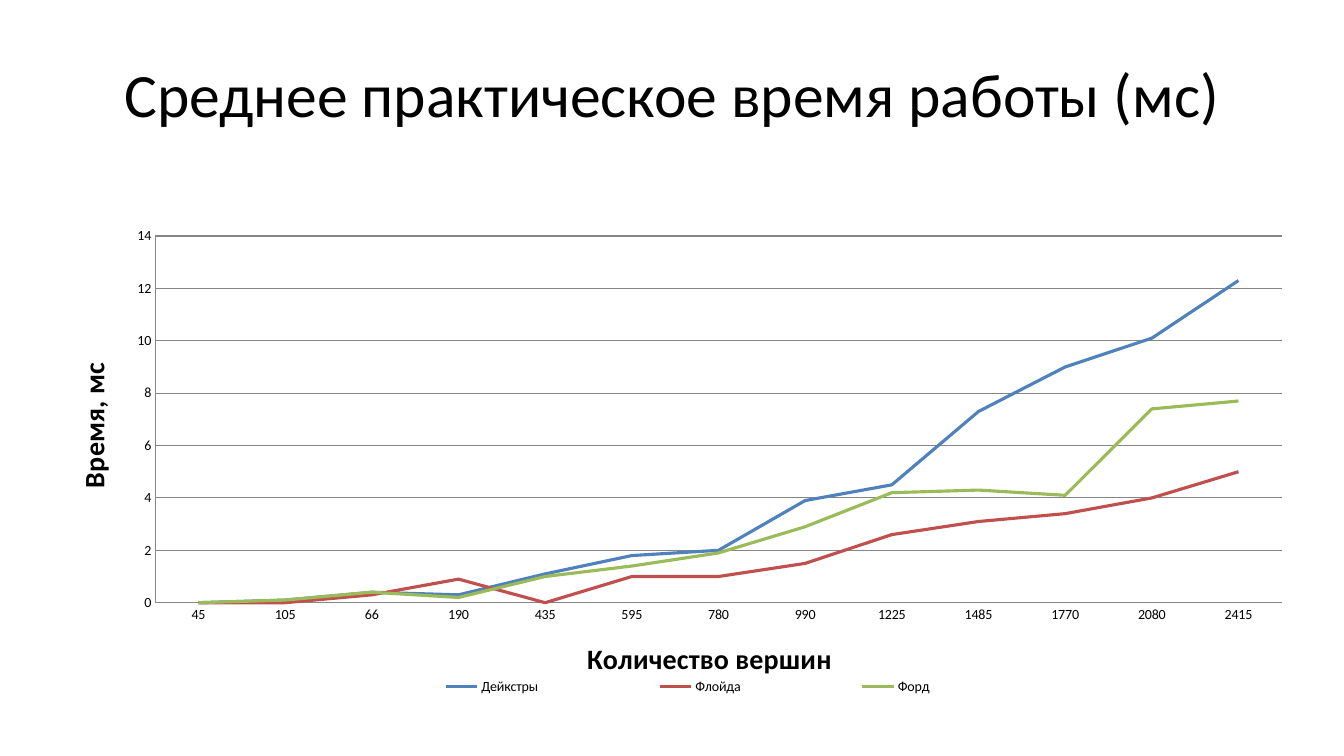
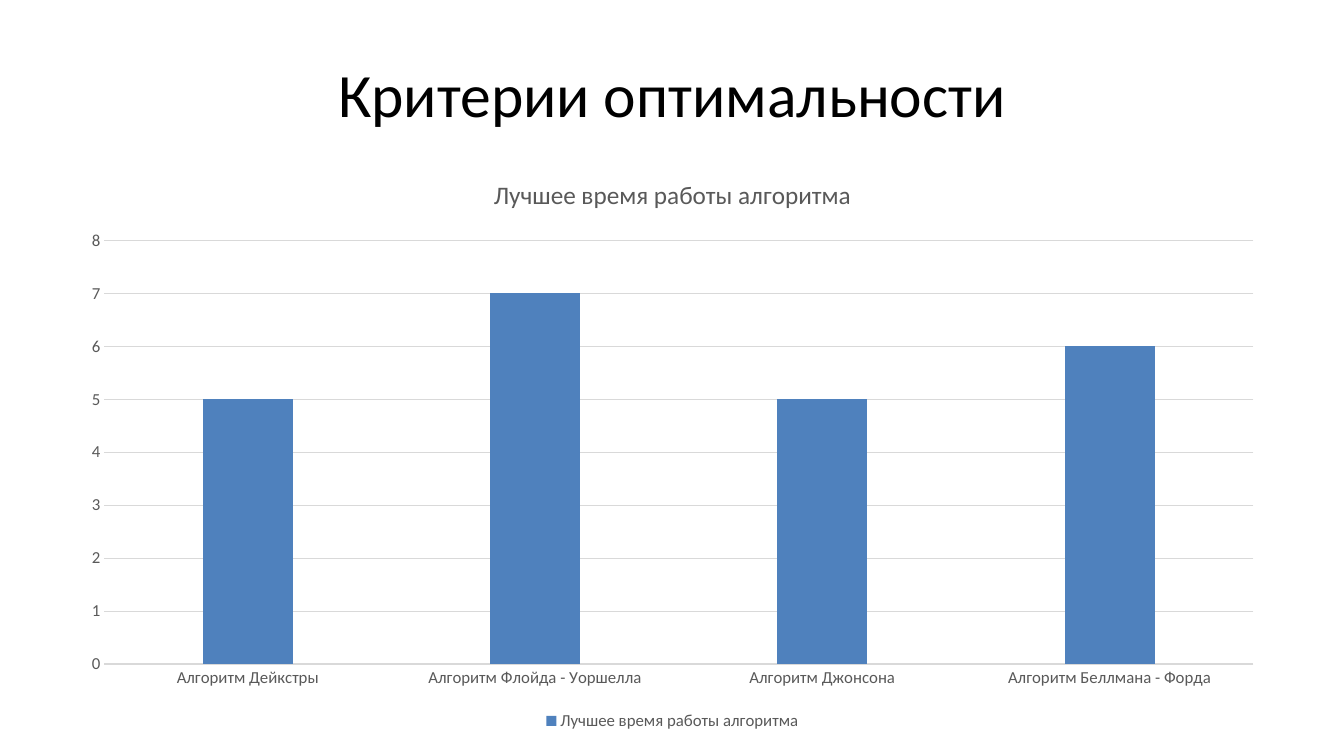
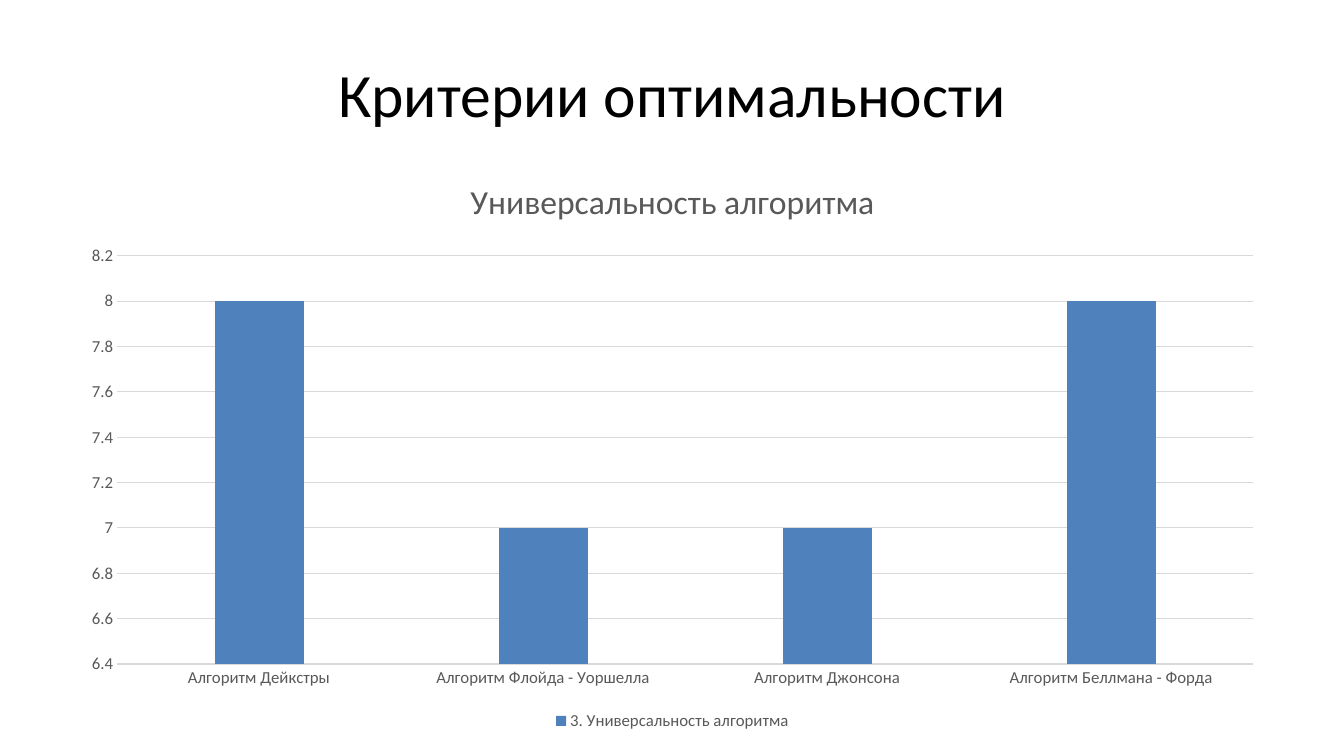
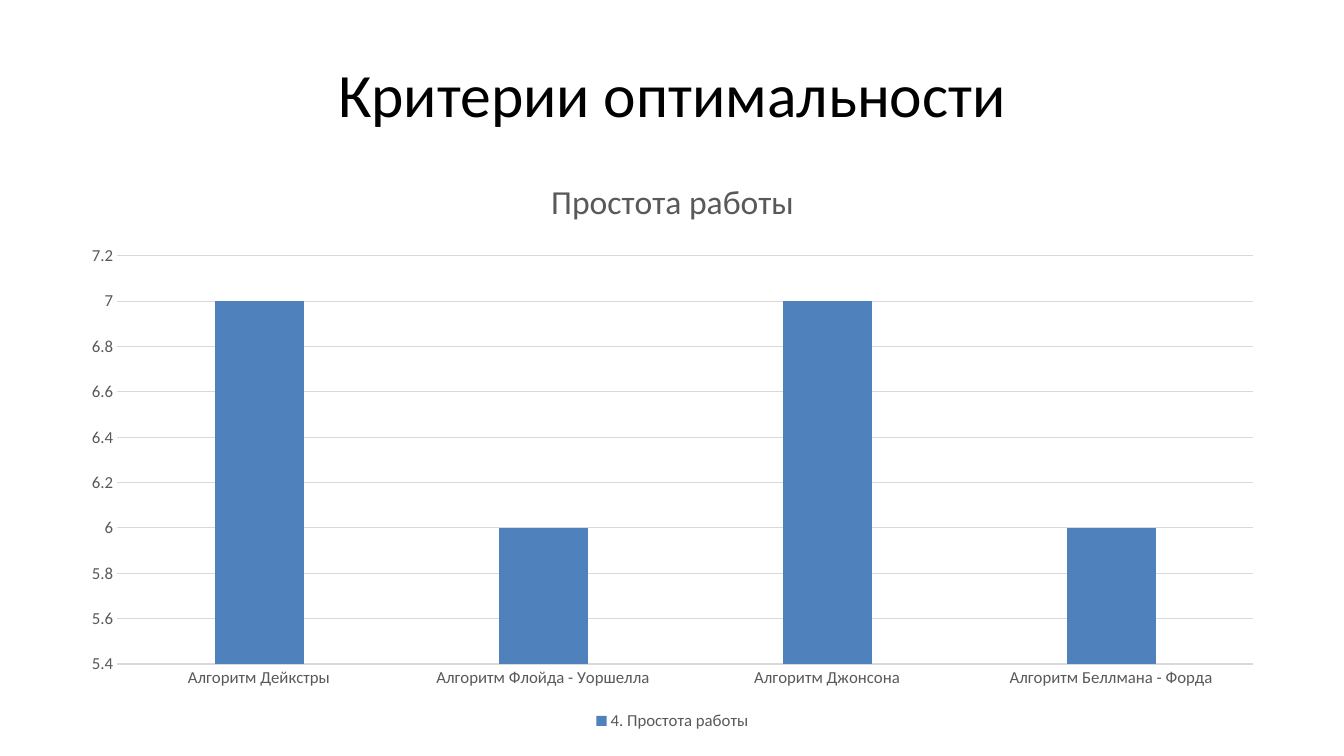
from dataclasses import dataclass
from typing import Any, Optional

from lxml import etree
from pptx import Presentation
from pptx.chart.chart import Chart
from pptx.chart.data import CategoryChartData
from pptx.dml.color import RGBColor
from pptx.enum.chart import XL_CHART_TYPE, XL_LEGEND_POSITION, XL_TICK_MARK
from pptx.enum.text import MSO_ANCHOR, PP_ALIGN
from pptx.oxml.ns import qn
from pptx.slide import Slide
from pptx.util import Inches, Pt

FONT = "Calibri"
BLACK, GRAY, LIGHT_GRAY, AXIS_GRAY = "000000", "595959", "D9D9D9", "868686"
BLUE, RED, GREEN = "4F81BD", "C0504D", "9BBB59"
TITLE_BOX = (0.67, 0.3, 12, 1.25)
ALGORITHMS = (
    "Алгоритм Дейкстры",
    "Алгоритм Флойда - Уоршелла",
    "Алгоритм Джонсона",
    "Алгоритм Беллмана - Форда",
)
VERTEX_COUNTS = (
    "45", "105", "66", "190", "435", "595", "780",
    "990", "1225", "1485", "1770", "2080", "2415",
)


@dataclass(frozen=True)
class Series:
    name: str
    values: tuple[float, ...]
    color: str


@dataclass(frozen=True)
class Scale:
    minimum: float
    maximum: float
    step: float


@dataclass(frozen=True)
class Criterion:
    chart_title: str
    title_size: int
    series_name: str
    scores: tuple[int, ...]
    scale: Scale


TIMES = (
    Series("Дейкстры", (0, 0.1, 0.4, 0.3, 1.1, 1.8, 2, 3.9, 4.5, 7.3, 9, 10.1, 12.3), BLUE),
    Series("Флойда", (0, 0, 0.3, 0.9, 0, 1, 1, 1.5, 2.6, 3.1, 3.4, 4, 5), RED),
    Series("Форд", (0, 0.1, 0.4, 0.2, 1, 1.4, 1.9, 2.9, 4.2, 4.3, 4.1, 7.4, 7.7), GREEN),
)
CRITERIA = (
    Criterion("Лучшее время работы алгоритма", 18, "Лучшее время работы алгоритма",
              (5, 7, 5, 6), Scale(0, 8, 1)),
    Criterion("Универсальность алгоритма", 24, "3. Универсальность алгоритма",
              (8, 7, 7, 8), Scale(6.4, 8.2, 0.2)),
    Criterion("Простота работы", 24, "4. Простота работы",
              (7, 6, 7, 6), Scale(5.4, 7.2, 0.2)),
)


def rgb(color: str) -> RGBColor:
    return RGBColor.from_string(color)


def set_values(target: Any, values: dict[str, Any]) -> None:
    for name, value in values.items():
        setattr(target, name, value)


def format_font(font: Any, size: float, color: str, bold: bool = False) -> None:
    set_values(font, {"name": FONT, "size": Pt(size), "bold": bold})
    font.color.rgb = rgb(color)


def format_line(line: Any, color: str, width: float) -> None:
    line.color.rgb = rgb(color)
    line.width = Pt(width)


def write_label(owner: Any, text: str, size: float, color: str, bold: bool = False) -> None:
    text_frame = owner.text_frame
    text_frame.text = text
    paragraph = text_frame.paragraphs[0]
    format_font(paragraph.font, size, color, bold)
    format_font(paragraph.runs[0].font, size, color, bold)


def set_layout(element: Any, box: tuple[float, ...], before: str, inner: bool = False) -> None:
    for old_layout in element.findall(qn("c:layout")):
        element.remove(old_layout)
    layout = etree.Element(qn("c:layout"))
    manual = etree.SubElement(layout, qn("c:manualLayout"))
    settings = {"layoutTarget": "inner"} if inner else {}
    settings.update({"xMode": "edge", "yMode": "edge"})
    settings.update(zip("xywh", map(str, box)))
    for name, value in settings.items():
        etree.SubElement(manual, qn(f"c:{name}")).set("val", value)
    element.find(qn(before)).addprevious(layout)


def add_titled_slide(presentation: Any, title: str) -> Slide:
    slide = presentation.slides.add_slide(presentation.slide_layouts[5])
    shape = slide.shapes.title
    set_values(shape, dict(zip(("left", "top", "width", "height"), map(Inches, TITLE_BOX))))
    shape.text_frame.text = title
    set_values(shape.text_frame, {"vertical_anchor": MSO_ANCHOR.MIDDLE, "word_wrap": True})
    paragraph = shape.text_frame.paragraphs[0]
    paragraph.alignment = PP_ALIGN.CENTER
    format_font(paragraph.runs[0].font, 44, BLACK)
    return slide


def add_chart(slide: Slide, kind: XL_CHART_TYPE, box: tuple[float, ...],
              categories: tuple[str, ...], series: tuple[Series, ...], scale: Scale,
              size: int, color: str, line_color: str) -> Chart:
    data = CategoryChartData()
    data.categories = categories
    for item in series:
        data.add_series(item.name, item.values)
    chart = slide.shapes.add_chart(kind, *map(Inches, box), data).chart
    set_values(chart, {"has_title": False, "has_legend": True})
    format_font(chart.font, 10, BLACK)
    set_values(chart.legend, {"position": XL_LEGEND_POSITION.BOTTOM, "include_in_layout": False})
    format_font(chart.legend.font, size, color)
    for axis in (chart.category_axis, chart.value_axis):
        set_values(axis, {"major_tick_mark": XL_TICK_MARK.NONE,
                          "minor_tick_mark": XL_TICK_MARK.NONE})
        format_font(axis.tick_labels.font, size, color)
        format_line(axis.format.line, line_color, 0.75)
    set_values(chart.value_axis, {
        "minimum_scale": scale.minimum,
        "maximum_scale": scale.maximum,
        "major_unit": scale.step,
        "has_major_gridlines": True,
    })
    format_line(chart.value_axis.major_gridlines.format.line, line_color, 0.75)
    chart.plots[0].vary_by_categories = False
    return chart


def add_times_slide(presentation: Any) -> None:
    slide = add_titled_slide(presentation, "Среднее практическое время работы (мс)")
    chart = add_chart(slide, XL_CHART_TYPE.LINE, (0.68, 1.7, 12.28, 5.35),
                      VERTEX_COUNTS, TIMES, Scale(0, 14, 2), 10, BLACK, AXIS_GRAY)
    for line, item in zip(chart.plots[0].series, TIMES):
        line.smooth = False
        format_line(line.format.line, item.color, 2.25)
    write_label(chart.category_axis.axis_title, "Количество вершин", 20, BLACK, True)
    write_label(chart.value_axis.axis_title, "Время, мс", 20, BLACK, True)
    plot_area = chart.plots[0]._element.getparent()
    set_layout(plot_area, (0.07, 0.12, 0.91, 0.68), "c:lineChart", True)
    set_layout(chart.legend._element, (0.21, 0.93, 0.58, 0.05), "c:overlay")


def add_criterion_slide(presentation: Any, criterion: Criterion) -> None:
    slide = add_titled_slide(presentation, "Критерии оптимальности")
    series = Series(criterion.series_name, criterion.scores, BLUE)
    chart = add_chart(slide, XL_CHART_TYPE.COLUMN_CLUSTERED, (0.67, 1.55, 12, 5.74),
                      ALGORITHMS, (series,), criterion.scale, 12, GRAY, LIGHT_GRAY)
    write_label(chart.chart_title, criterion.chart_title, criterion.title_size, GRAY)
    chart.value_axis.format.line.fill.background()
    plot = chart.plots[0]
    set_values(plot, {"gap_width": 219, "overlap": -27})
    fill = plot.series[0].format.fill
    fill.solid()
    fill.fore_color.rgb = rgb(series.color)


def main() -> None:
    presentation = Presentation()
    set_values(presentation, {"slide_width": Inches(13.33), "slide_height": Inches(7.5)})
    add_times_slide(presentation)
    for criterion in CRITERIA:
        add_criterion_slide(presentation, criterion)
    presentation.save("out.pptx")


if __name__ == "__main__":
    main()
